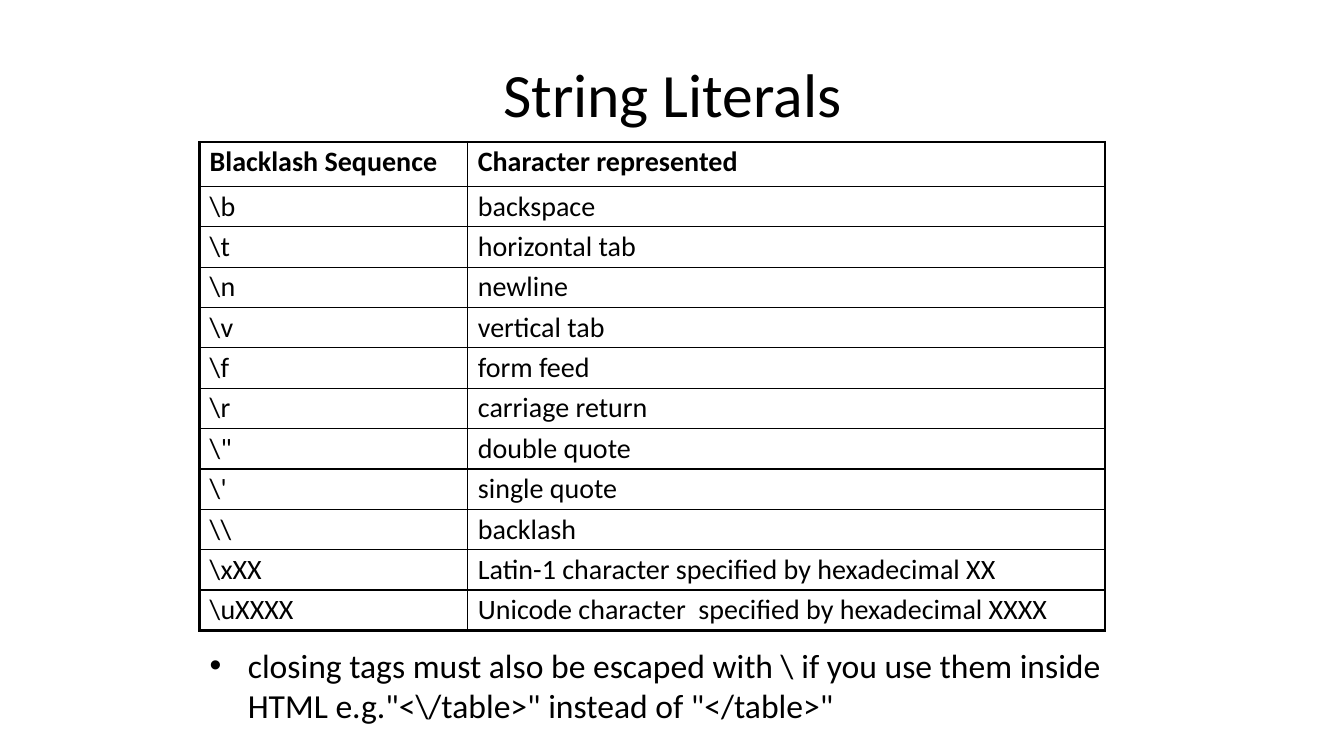
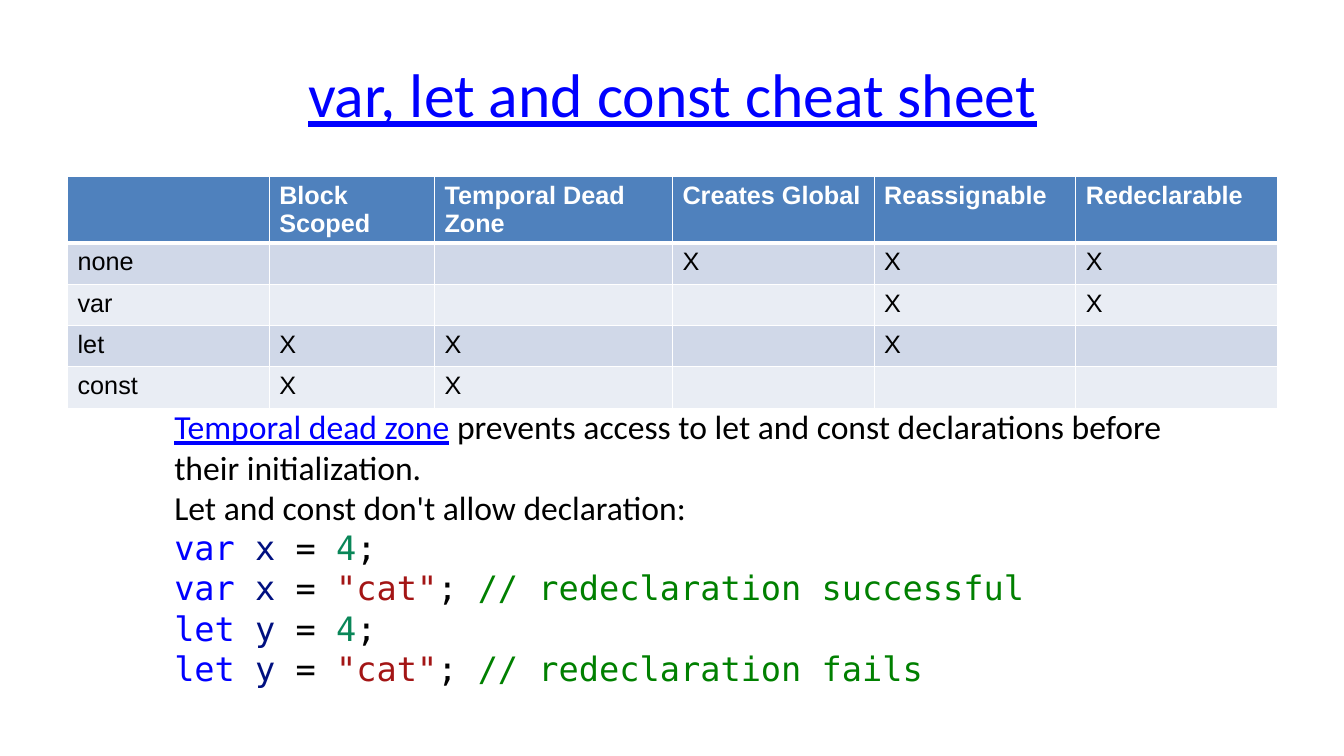
import pptx
import pptx.util
import pptx.dml.color
import pptx.enum.text
import pptx.oxml.ns
from dataclasses import dataclass
from lxml import etree
from pptx.util import Inches


@dataclass(frozen=True)
class Theme:
    text: str = "000000"
    link: str = "0000FF"
    white: str = "FFFFFF"
    header: str = "4F81BD"
    bands: tuple = ("D0D8E8", "E9EDF4")
    keyword: str = "0000FF"
    name: str = "001080"
    number: str = "098658"
    string: str = "A31515"
    comment: str = "008000"
    font: str = "Calibri"
    table_font: str = "Arial"
    code_font: str = "DejaVu Sans Mono"
    title_size: int = 44
    body_size: int = 24
    escape_size: int = 20
    cheat_size: int = 18
    thin: float = 1
    frame: float = 2.25
    header_rule: float = 3


THEME = Theme()

ESCAPES = [
    ("Blacklash Sequence", "Character represented"),
    ("\\b", "backspace"),
    ("\\t", "horizontal tab"),
    ("\\n", "newline"),
    ("\\v", "vertical tab"),
    ("\\f", "form feed"),
    ("\\r", "carriage return"),
    ("\\\"", "double quote"),
    ("\\'", "single quote"),
    ("\\\\", "backlash"),
    ("\\xXX", "Latin-1 character specified by hexadecimal XX"),
    ("\\uXXXX", "Unicode character  specified by hexadecimal XXXX"),
]
CLOSING_TAGS = ("closing tags must also be escaped with \\ if you use them inside "
                "HTML e.g.\"<\\/table>\" instead of \"</table>\"")

CHEAT_SHEET = [
    ("", "Block Scoped", "Temporal Dead Zone", "Creates Global", "Reassignable", "Redeclarable"),
    ("none", "", "", "X", "X", "X"),
    ("var", "", "", "", "X", "X"),
    ("let", "X", "X", "", "X", ""),
    ("const", "X", "X", "", "", ""),
]
PROSE = [
    [("Temporal dead zone", "link"),
     (" prevents access to let and const declarations before their initialization.", "text")],
    [("Let and const don't allow declaration:", "text")],
]
CODE = [
    ("var", "x", ("4", "number"), ""),
    ("var", "x", ("\"cat\"", "string"), "// redeclaration successful"),
    ("let", "y", ("4", "number"), ""),
    ("let", "y", ("\"cat\"", "string"), "// redeclaration fails"),
]


def style(font, size, color=THEME.text, name=THEME.font, bold=False, underline=False):
    font.size = pptx.util.Pt(size)
    font.name = name
    font.bold = bold
    font.underline = underline
    font.color.rgb = pptx.dml.color.RGBColor.from_string(color)


def add_slide(prs, title, is_link=False):
    s = prs.slides.add_slide(prs.slide_layouts[5])
    sp = s.shapes.title
    sp.left, sp.top, sp.width, sp.height = Inches(0.67), Inches(0.3), Inches(12), Inches(1.25)
    tf = sp.text_frame
    tf.text = title
    tf.auto_size = pptx.enum.text.MSO_AUTO_SIZE.NONE
    tf.vertical_anchor = pptx.enum.text.MSO_ANCHOR.MIDDLE
    p = tf.paragraphs[0]
    p.alignment = pptx.enum.text.PP_ALIGN.CENTER
    style(p.runs[0].font, THEME.title_size, THEME.link if is_link else THEME.text, underline=is_link)
    return s


def add_text(s, left, top, width, height):
    tf = s.shapes.add_textbox(Inches(left), Inches(top), Inches(width), Inches(height)).text_frame
    tf.word_wrap = True
    return tf


def add_runs(p, runs, font):
    for text, kind in runs:
        r = p.add_run()
        r.text = text
        style(r.font, THEME.body_size, getattr(THEME, kind), font, underline=kind == "link")


def set_borders(cell, color, **widths):
    tc_pr = cell._tc.get_or_add_tcPr()
    for side in "LRTB":
        ln = etree.SubElement(tc_pr, pptx.oxml.ns.qn(f"a:ln{side}"), w=str(pptx.util.Pt(widths[side])))
        fill = etree.SubElement(ln, pptx.oxml.ns.qn("a:solidFill"))
        etree.SubElement(fill, pptx.oxml.ns.qn("a:srgbClr"), val=color)


def add_table(s, rows, left, top, col_widths, head_height, row_height, format_cell):
    heights = [head_height] + [row_height] * (len(rows) - 1)
    table = s.shapes.add_table(len(rows), len(col_widths), Inches(left), Inches(top),
                               Inches(sum(col_widths)), Inches(sum(heights))).table
    table.first_row = table.horz_banding = False
    for column, width in zip(table.columns, col_widths):
        column.width = Inches(width)
    for i, values in enumerate(rows):
        table.rows[i].height = Inches(heights[i])
        for j, value in enumerate(values):
            cell = table.cell(i, j)
            cell.text = value
            format_cell(cell, i, j)


def format_escape(cell, i, j):
    def edge(outer):
        return THEME.frame if outer else THEME.thin

    set_borders(cell, THEME.text, L=edge(j == 0), R=edge(j == 1),
                T=edge(i == 0), B=edge(i == len(ESCAPES) - 1))
    cell.fill.background()
    p = cell.text_frame.paragraphs[0]
    p.line_spacing = 0.9
    style(p.runs[0].font, THEME.escape_size, bold=i == 0)


def format_cheat(cell, i, j):
    set_borders(cell, THEME.white, L=THEME.thin, R=THEME.thin,
                T=THEME.header_rule if i == 1 else THEME.thin,
                B=THEME.header_rule if i == 0 else THEME.thin)
    cell.fill.solid()
    fill = THEME.bands[(i - 1) % 2] if i else THEME.header
    cell.fill.fore_color.rgb = pptx.dml.color.RGBColor.from_string(fill)
    for r in cell.text_frame.paragraphs[0].runs:
        style(r.font, THEME.cheat_size, THEME.text if i else THEME.white, THEME.table_font, bold=i == 0)


def string_literals(prs):
    s = add_slide(prs, "String Literals")
    tf = add_text(s, 1.98, 6.35, 9.1, 1)
    p = tf.paragraphs[0]
    p_pr = p._p.get_or_add_pPr()
    p_pr.set("marL", str(Inches(0.38)))
    p_pr.set("indent", str(-Inches(0.38)))
    etree.SubElement(p_pr, pptx.oxml.ns.qn("a:buFont"), typeface="Arial")
    etree.SubElement(p_pr, pptx.oxml.ns.qn("a:buChar"), char="•")
    add_runs(p, [(CLOSING_TAGS, "text")], THEME.font)
    add_table(s, ESCAPES, 1.98, 1.41, (2.66, 6.32), 0.44, 0.4, format_escape)


def cheat_sheet(prs):
    s = add_slide(prs, "var, let and const cheat sheet", is_link=True)
    add_table(s, CHEAT_SHEET, 0.67, 1.75, (2, 1.64, 2.36, 2, 2, 2), 0.65, 0.41, format_cheat)
    tf = add_text(s, 1.63, 3.98, 10.32, 3.33)
    lines = [(runs, THEME.font) for runs in PROSE]
    for keyword, name, value, comment in CODE:
        runs = [(keyword + " ", "keyword"), (name, "name"), (" = ", "text"), value]
        runs += [("; ", "text"), (comment, "comment")] if comment else [(";", "text")]
        lines.append((runs, THEME.code_font))
    for k, (runs, font) in enumerate(lines):
        add_runs(tf.add_paragraph() if k else tf.paragraphs[0], runs, font)


def main():
    prs = pptx.Presentation()
    prs.slide_width, prs.slide_height = Inches(13.33), Inches(7.5)
    string_literals(prs)
    cheat_sheet(prs)
    prs.save("out.pptx")


if __name__ == "__main__":
    main()
